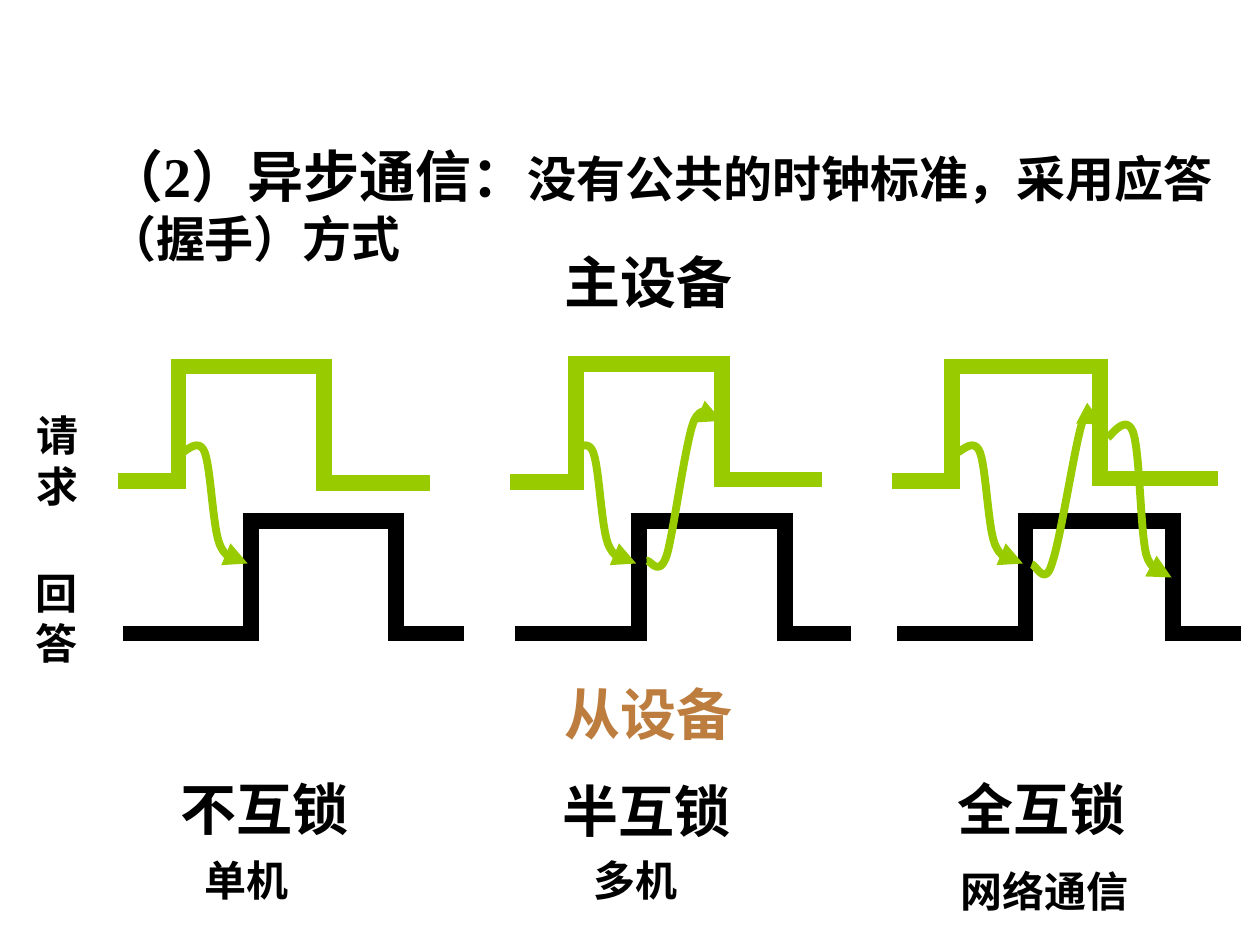
from dataclasses import dataclass

from lxml.etree import SubElement
from pptx import Presentation
from pptx.dml.color import RGBColor
from pptx.enum.shapes import MSO_CONNECTOR
from pptx.enum.text import MSO_ANCHOR, MSO_AUTO_SIZE, PP_ALIGN
from pptx.oxml.ns import qn
from pptx.slide import Slide
from pptx.text.text import Font
from pptx.util import Pt

BLACK, GREEN, BROWN = "000000", "99CC00", "BC7D3E"
SIGNAL_WIDTH, ARROW_WIDTH = 9, 4.5
CURVE_STEPS = 12

Point = tuple[float, float]


@dataclass
class Label:
    lines: list[str]
    left: float
    top: float
    width: float
    height: float
    size: float = 32
    color: str = BLACK
    space_before: float = 0
    wrap: bool = True


@dataclass
class Pulse:
    color: str
    start: float
    rise: float
    fall: float
    end: float
    high: float
    low: float
    end_low: float


def rgb(color: str) -> RGBColor:
    return RGBColor.from_string(color)


def style_font(font: Font, size: float, color: str) -> None:
    font.name = "Times New Roman"
    font.size = Pt(size)
    font.bold = True
    font.color.rgb = rgb(color)


def add_heading(slide: Slide) -> None:
    heading = slide.shapes.title
    heading.left, heading.top = Pt(54), Pt(77)
    heading.width, heading.height = Pt(646.5), Pt(79)
    frame = heading.text_frame
    frame.word_wrap = True
    frame.auto_size = MSO_AUTO_SIZE.NONE
    frame.vertical_anchor = MSO_ANCHOR.TOP
    paragraph = frame.paragraphs[0]
    paragraph.alignment = PP_ALIGN.LEFT
    for text, size in (("（2）异步通信：", 32), ("没有公共的时钟标准，采用应答（握手）方式", 28)):
        run = paragraph.add_run()
        run.text = text
        style_font(run.font, size, BLACK)


def add_label(slide: Slide, label: Label) -> None:
    box = slide.shapes.add_textbox(Pt(label.left), Pt(label.top), Pt(label.width), Pt(label.height))
    frame = box.text_frame
    frame.word_wrap = label.wrap
    frame.text = "\n".join(label.lines)
    for paragraph in frame.paragraphs:
        paragraph.space_before = Pt(label.space_before)
        style_font(paragraph.font, label.size, label.color)


def add_stroke(slide: Slide, begin: Point, end: Point, color: str) -> None:
    stroke = slide.shapes.add_connector(MSO_CONNECTOR.STRAIGHT, *map(Pt, begin + end))
    stroke.line.color.rgb = rgb(color)
    stroke.line.width = Pt(SIGNAL_WIDTH)
    SubElement(stroke._element.spPr, qn("a:effectLst"))


def add_pulse(slide: Slide, pulse: Pulse) -> None:
    lap = SIGNAL_WIDTH / 2
    rise, fall, high, low, end_low = pulse.rise, pulse.fall, pulse.high, pulse.low, pulse.end_low
    for begin, end in (
        ((pulse.start, low), (rise + lap, low)),
        ((rise, high - lap), (rise, low + lap)),
        ((rise - lap, high), (fall + lap, high)),
        ((fall, high - lap), (fall, end_low + lap)),
        ((fall - lap, end_low), (pulse.end, end_low)),
    ):
        add_stroke(slide, begin, end, pulse.color)


def bezier(a: Point, b: Point, c: Point, d: Point, t: float) -> Point:
    u = 1 - t
    x, y = (
        u**3 * p + 3 * u * u * t * q + 3 * u * t * t * r + t**3 * s
        for p, q, r, s in zip(a, b, c, d)
    )
    return x, y


def add_curved_arrow(slide: Slide, controls: list[Point]) -> None:
    points = [
        bezier(*controls[i : i + 4], step / CURVE_STEPS)
        for i in range(0, len(controls) - 1, 3)
        for step in range(1, CURVE_STEPS + 1)
    ]
    start_x, start_y = controls[0]
    builder = slide.shapes.build_freeform(Pt(start_x), Pt(start_y))
    builder.add_line_segments([(Pt(x), Pt(y)) for x, y in points], close=False)
    arrow = builder.convert_to_shape()
    arrow.fill.background()
    arrow.line.color.rgb = rgb(GREEN)
    arrow.line.width = Pt(ARROW_WIDTH)
    arrow.shadow.inherit = False
    SubElement(arrow._element.spPr.find(qn("a:ln")), qn("a:tailEnd"), type="triangle")


LABELS = [
    Label(["不互锁"], 96, 439, 120, 46, space_before=20),
    Label(["半互锁"], 314.5, 440, 120, 46, space_before=20),
    Label(["全互锁"], 540, 439, 120, 46, space_before=20),
    Label(["主设备"], 315.5, 138, 182, 46),
    Label(["从设备"], 315.5, 385, 212, 46, color=BROWN),
    Label(["请", "求"], 13.5, 230.5, 38, 65, 24, wrap=False),
    Label(["回", "答"], 13, 320.5, 38, 65, 24, wrap=False),
    Label(["单机"], 110, 485, 120, 36, 24, space_before=15),
    Label(["多机"], 332, 485, 120, 36, 24, space_before=15),
    Label(["网络通信"], 541.5, 491, 120, 36, 24, space_before=15),
]

PULSES = [
    Pulse(GREEN, 67.5, 102, 185, 246, 209.5, 275, 276),
    Pulse(GREEN, 291.5, 329, 412.5, 470, 208, 275.5, 274),
    Pulse(GREEN, 509.5, 544, 628.5, 696, 209.5, 275, 273.5),
    Pulse(BLACK, 70.5, 143.5, 226.5, 265, 297.5, 362, 362),
    Pulse(BLACK, 294.5, 365, 448.5, 486, 297.5, 362, 362),
    Pulse(BLACK, 512.5, 586, 670.5, 709, 297.5, 362, 362),
]

REQUEST_STARTS = [104, 326, 547]
REQUEST_TOP = 258.5
REQUEST_CURVE = [
    (0, 0), (2, 0), (9.5, -9), (13, 0), (16.5, 9),
    (17.5, 42.5), (21.5, 52.5), (26, 63.5), (34, 61), (37.5, 63.5),
]

HALF_LOCK_REPLY = [
    (369.5, 320.5), (371.5, 319.5), (376.5, 330.5), (381, 317.5), (385, 304),
    (391.5, 253.5), (396.5, 240.5), (402.5, 228), (410.5, 240.5), (412.5, 240.5),
]
FULL_LOCK_REPLY = [
    (589.5, 322.5), (592, 322.5), (597, 335.5), (601, 322.5), (606, 309),
    (614, 255), (618.5, 241), (623.5, 228), (628, 242), (630, 242.5),
]
FULL_LOCK_RELEASE = [
    (633, 250), (635, 249), (643.5, 236), (647.5, 247), (651.5, 258.5),
    (651.5, 303), (655, 317), (659, 330), (667.5, 324.5), (669.5, 327),
    (672, 329), (669.5, 329), (669.5, 330),
]


def main() -> None:
    presentation = Presentation()
    presentation.slide_width, presentation.slide_height = Pt(720), Pt(540)
    slide = presentation.slides.add_slide(presentation.slide_layouts[5])
    add_heading(slide)
    for label in LABELS:
        add_label(slide, label)
    for pulse in PULSES:
        add_pulse(slide, pulse)
    for start in REQUEST_STARTS:
        add_curved_arrow(slide, [(start + x, REQUEST_TOP + y) for x, y in REQUEST_CURVE])
    for controls in (HALF_LOCK_REPLY, FULL_LOCK_REPLY, FULL_LOCK_RELEASE):
        add_curved_arrow(slide, controls)
    presentation.save("out.pptx")


if __name__ == "__main__":
    main()
